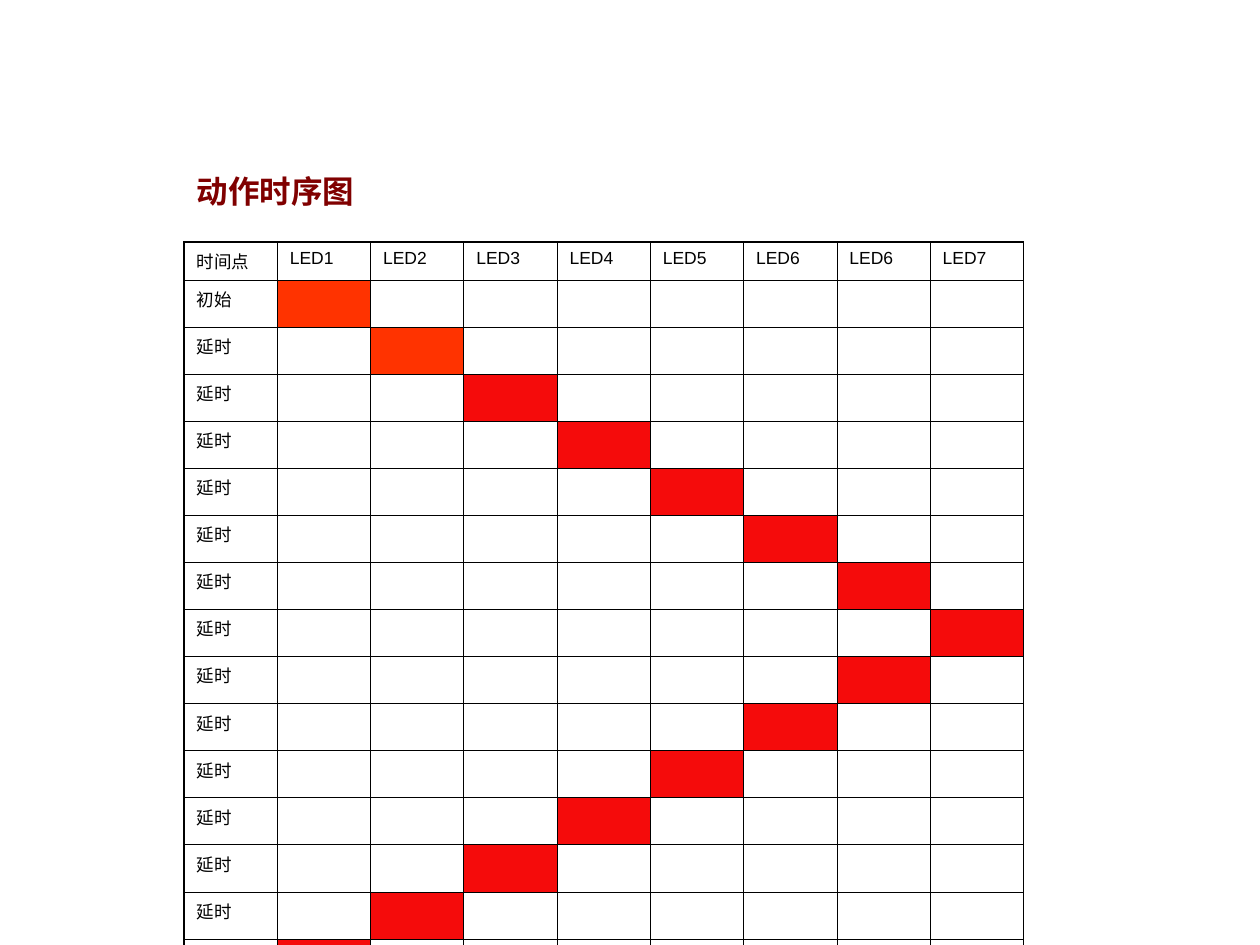
import pptx
import pptx.dml.color
import pptx.enum.text
import pptx.oxml
import pptx.oxml.ns
import pptx.util
from pptx.util import Cm

BLACK = pptx.dml.color.RGBColor(0x00, 0x00, 0x00)
MAROON = pptx.dml.color.RGBColor(0x80, 0x00, 0x00)
ORANGE = pptx.dml.color.RGBColor(0xFF, 0x33, 0x00)
RED = pptx.dml.color.RGBColor(0xF5, 0x0B, 0x0B)

HEADERS = ["时间点", "LED1", "LED2", "LED3", "LED4", "LED5", "LED6", "LED6", "LED7"]
STEPS = ["初始"] + ["延时"] * 14
ROWS, COLUMNS = len(STEPS) + 2, len(HEADERS)
LAST_LED = COLUMNS - 1
INNER, OUTER = pptx.util.Pt(0.45), pptx.util.Pt(1.08)


def format_text(paragraph, size, color, bold=False):
    for run in paragraph.runs:
        run.font.name = "Arial"
        run.font.size = pptx.util.Pt(size)
        run.font.bold = bold
        run.font.color.rgb = color


def set_border(cell, side, width):
    cell._tc.get_or_add_tcPr().append(pptx.oxml.parse_xml(
        f'<a:{side} {pptx.oxml.ns.nsdecls("a")} w="{int(width)}"><a:solidFill>'
        f'<a:srgbClr val="{BLACK}"/></a:solidFill></a:{side}>'))


presentation = pptx.Presentation()
presentation.slide_width, presentation.slide_height = Cm(25.4), Cm(19.05)
slide = presentation.slides.add_slide(presentation.slide_layouts[5])

# Title
title = slide.shapes.title
title.left, title.top, title.width, title.height = Cm(3.71), Cm(3.33), Cm(3.99), Cm(1.02)
title.text_frame.text = "动作时序图"
title.text_frame.word_wrap = True
title.text_frame.auto_size = pptx.enum.text.MSO_AUTO_SIZE.NONE
title.text_frame.vertical_anchor = pptx.enum.text.MSO_ANCHOR.MIDDLE
title.text_frame.paragraphs[0].alignment = pptx.enum.text.PP_ALIGN.LEFT
format_text(title.text_frame.paragraphs[0], 18, MAROON, bold=True)

# Timing table
table = slide.shapes.add_table(
    ROWS, COLUMNS, Cm(3.71), Cm(4.88), Cm(16.93), Cm(11.5)).table
table.first_row = table.horz_banding = False
for column in table.columns:
    column.width = Cm(1.88)
for row in table.rows:
    row.height = Cm(0.68)

for row_index in range(ROWS):
    # The lit LED runs to the last column and back again
    lit_column = min(row_index, 2 * LAST_LED - row_index)
    for column_index in range(COLUMNS):
        cell = table.cell(row_index, column_index)
        set_border(cell, "lnL", OUTER if column_index == 0 else INNER)
        set_border(cell, "lnR", OUTER if column_index == COLUMNS - 1 else INNER)
        set_border(cell, "lnT", OUTER if row_index == 0 else INNER)
        set_border(cell, "lnB", OUTER if row_index == ROWS - 1 else INNER)

        if column_index == lit_column and 0 < row_index < ROWS - 1:
            cell.fill.solid()
            cell.fill.fore_color.rgb = ORANGE if row_index <= 2 else RED
        else:
            cell.fill.background()

        paragraph = cell.text_frame.paragraphs[0]
        if row_index == 0:
            paragraph.text = HEADERS[column_index]
        elif column_index == 0 and row_index <= len(STEPS):
            paragraph.text = STEPS[row_index - 1]
        else:
            # The text size of an empty cell sets the row height
            paragraph._p.append(pptx.oxml.parse_xml(
                f'<a:endParaRPr {pptx.oxml.ns.nsdecls("a")} sz="1760">'
                '<a:latin typeface="Arial"/></a:endParaRPr>'))
        format_text(paragraph, 10, BLACK)

presentation.save("out.pptx")
